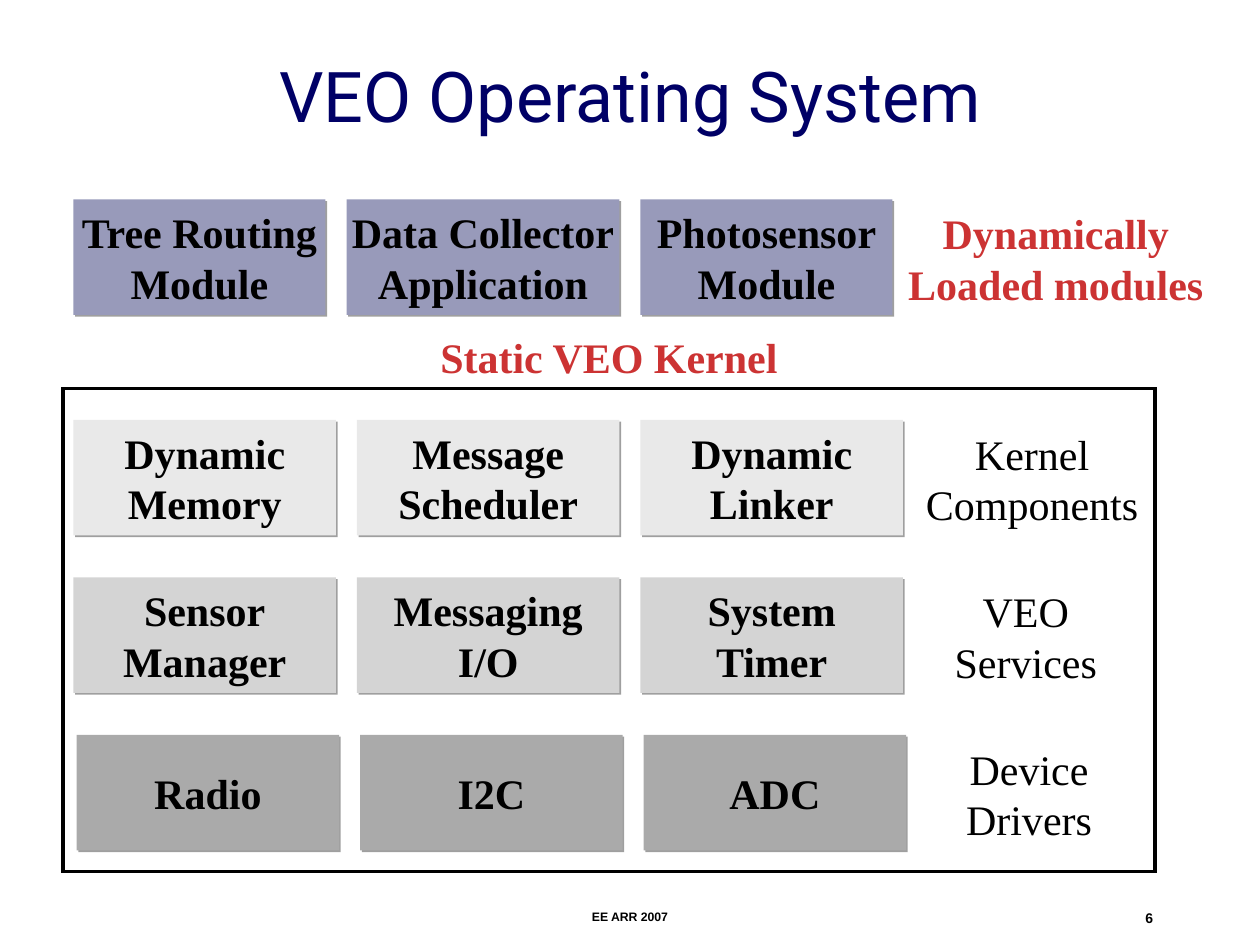
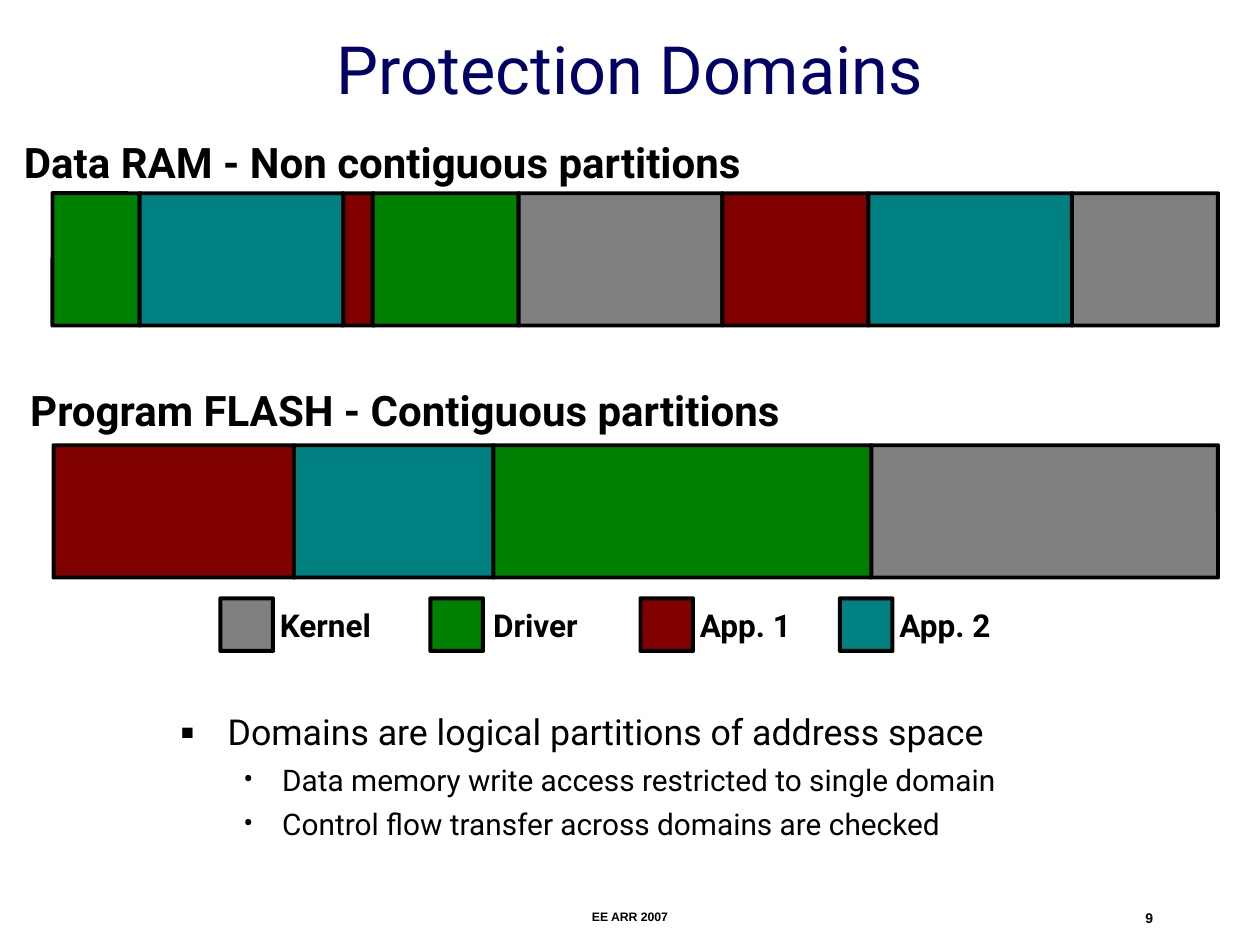
from dataclasses import dataclass

from lxml.etree import SubElement
from pptx import Presentation
from pptx.dml.color import RGBColor
from pptx.enum.shapes import MSO_SHAPE as Shape
from pptx.enum.text import MSO_ANCHOR as Anchor, PP_ALIGN as Align
from pptx.oxml.ns import qn
from pptx.util import Pt

PX = 7620  # EMU in one px, 120 px to the inch


@dataclass(frozen=True)
class Theme:
    ink: str = "000000"
    navy: str = "000066"
    red: str = "CC3333"
    shade: str = "808080"
    module: str = "989ABA"
    light: str = "E9E9E9"
    mid: str = "D4D4D4"
    dark: str = "AAAAAA"
    kernel: str = "808080"
    driver: str = "008000"
    app1: str = "800000"
    app2: str = "008080"
    sans: str = "Roboto"
    serif: str = "Times New Roman"
    small: str = "Arial"
    head: int = 24
    key: int = 18
    edge: float = 2.25


T = Theme()


def emu(box):
    return [n * PX for n in box]


def rgb(code):
    return RGBColor.from_string(code)


def add_run(para, text, font, size, color=T.ink, bold=False):
    run = para.add_run()
    run.text = text
    face = run.font
    face.name, face.size, face.bold = font, Pt(size), bold
    face.color.rgb = rgb(color)


def write(shape, lines, font, size, color=T.ink, bold=False,
          align=Align.CENTER, anchor=Anchor.TOP, wrap=True, space=None):
    frame = shape.text_frame
    frame.word_wrap = wrap
    frame.vertical_anchor = anchor
    for i, line in enumerate(lines):
        para = frame.add_paragraph() if i else frame.paragraphs[0]
        para.alignment = align
        if space:
            para.line_spacing = space
        add_run(para, line, font, size, color, bold)


def label(slide, box, lines, font, size, **style):
    write(slide.shapes.add_textbox(*emu(box)), lines, font, size, **style)


def block(slide, box, fill=None, edge=False, kind=Shape.RECTANGLE):
    shape = slide.shapes.add_shape(kind, *emu(box))
    shape.shadow.inherit = False
    if fill:
        shape.fill.solid()
        shape.fill.fore_color.rgb = rgb(fill)
    else:
        shape.fill.background()
    if edge:
        shape.line.color.rgb = rgb(T.ink)
        shape.line.width = Pt(T.edge)
        SubElement(shape.element.spPr.find(qn("a:ln")), qn("a:miter"), lim="800000")
    else:
        shape.line.fill.background()
    return shape


def cast(shape):
    """Give the shape a thin hard shadow to the lower right."""
    effects = shape.element.spPr.find(qn("a:effectLst"))
    outer = SubElement(effects, qn("a:outerShdw"), blurRad="0",
                       dist=str(Pt(1.4)), dir="2700000", algn="ctr", rotWithShape="0")
    color = SubElement(outer, qn("a:srgbClr"), val=T.shade)
    SubElement(color, qn("a:alpha"), val="75000")


def tile(slide, box, text, fill):
    shape = block(slide, box, fill)
    cast(shape)
    write(shape, text.split("\n"), T.serif, T.head, bold=True,
          anchor=Anchor.MIDDLE, wrap=False)


def base(deck, title, box, size, number):
    """Add a slide with its title and footer."""
    slide = deck.slides.add_slide(deck.slide_layouts[6])
    label(slide, box, [title], T.sans, size, color=T.navy, anchor=Anchor.MIDDLE)
    label(slide, (410, 860, 380, 20), ["EE ARR 2007"], T.small, 7, bold=True)
    label(slide, (860, 860, 250, 20), [str(number)], T.small, 8,
          bold=True, align=Align.RIGHT)
    return slide


def modules(slide, left, top):
    x = left
    for text, width in (("Tree Routing\nModule", 240),
                        ("Data Collector\nApplication", 260),
                        ("Photosensor\nModule", 240)):
        tile(slide, (x, top, width, 110), text, T.module)
        x += width + 20
    label(slide, (x - 17, top + 2, 305, 108), ["Dynamically", "Loaded modules"],
          T.serif, T.head, color=T.red, bold=True, wrap=False)


def kernel(slide, left, top, width, height):
    block(slide, (left, top, width, height), edge=True)
    label(slide, (left + 200, top - 60, 640, 60), ["Static VEO Kernel"],
          T.serif, T.head, color=T.red, bold=True)
    # fill, left inset, tile texts, side label, label middle
    rows = (
        (T.light, 10, ("Dynamic\nMemory", "Message\nScheduler", "Dynamic\nLinker"),
         ("Kernel", "Components"), 923),
        (T.mid, 10, ("Sensor\nManager", "Messaging\nI/O", "System\nTimer"),
         ("VEO", "Services"), 917),
        (T.dark, 13, ("Radio", "I2C", "ADC"), ("Device", "Drivers"), 920),
    )
    for r, (fill, inset, names, side, mid) in enumerate(rows):
        y = top + 30 + 150 * r
        for c, name in enumerate(names):
            tile(slide, (left + inset + 270 * c, y, 250, 110), name, fill)
        label(slide, (left + mid - 113, y + 2, 226, 108), side,
              T.serif, T.head, wrap=False)


def cell(slide, box, fill):
    shape = block(slide, box, fill, True, Shape.ROUNDED_RECTANGLE)
    shape.adjustments[0] = 0.002


def memory(slide, left, top, parts):
    """Lay memory parts, given as (fill, width), side by side."""
    for fill, width in parts:
        cell(slide, (left, top, width, 126), fill)
        left += width


def heading(slide, left, top, text):
    label(slide, (left, top, 900, 60), [text], T.sans, T.head,
          bold=True, align=Align.LEFT)


def legend(slide, top):
    for x, name, fill in ((210, "Kernel", T.kernel), (410, "Driver", T.driver),
                          (610, "App. 1", T.app1), (800, "App. 2", T.app2)):
        cell(slide, (x, top, 50, 50), fill)
        label(slide, (x + 40, top, 120, 50), [name], T.sans, T.key,
              bold=True, space=1.04)


def notes(slide, box):
    frame = slide.shapes.add_textbox(*emu(box)).text_frame
    frame.word_wrap = True
    # level -> mark, margin, hang, size, space before
    levels = (("▪", 45, 45, 20.4, 6), ("•", 97, 37, 17, 5))
    lines = ((0, "Domains are logical partitions of address space"),
             (1, "Data memory write access restricted to single domain"),
             (1, "Control flow transfer across domains are checked"))
    for i, (level, text) in enumerate(lines):
        mark, margin, hang, size, before = levels[level]
        para = frame.add_paragraph() if i else frame.paragraphs[0]
        para.level = level
        para.space_before = Pt(before)
        props = para._p.get_or_add_pPr()
        props.set("marL", str(margin * PX))
        props.set("indent", str(-hang * PX))
        SubElement(props, qn("a:buFont"), typeface=T.sans)
        SubElement(props, qn("a:buChar"), char=mark)
        add_run(para, text, T.sans, size)


def system(deck):
    slide = base(deck, "VEO Operating System", (90, 30, 1020, 120), 40, 6)
    modules(slide, 70, 190)
    kernel(slide, 60, 370, 1040, 460)


def domains(deck):
    slide = base(deck, "Protection Domains", (50, 10, 1100, 110), 38, 9)
    heading(slide, 11, 124, "Data RAM - Non contiguous partitions")
    memory(slide, 50, 184, (
        (T.driver, 83), (T.app2, 194), (T.app1, 28), (T.driver, 139),
        (T.kernel, 194), (T.app1, 139), (T.app2, 194), (T.kernel, 139)))
    heading(slide, 17, 360, "Program FLASH - Contiguous partitions")
    memory(slide, 51, 424, (
        (T.app1, 229), (T.app2, 190), (T.driver, 360), (T.kernel, 330)))
    legend(slide, 570)
    notes(slide, (160, 670, 900, 180))


def main():
    deck = Presentation()
    deck.slide_width, deck.slide_height = emu((1200, 900))
    system(deck)
    domains(deck)
    deck.save("out.pptx")


if __name__ == "__main__":
    main()
